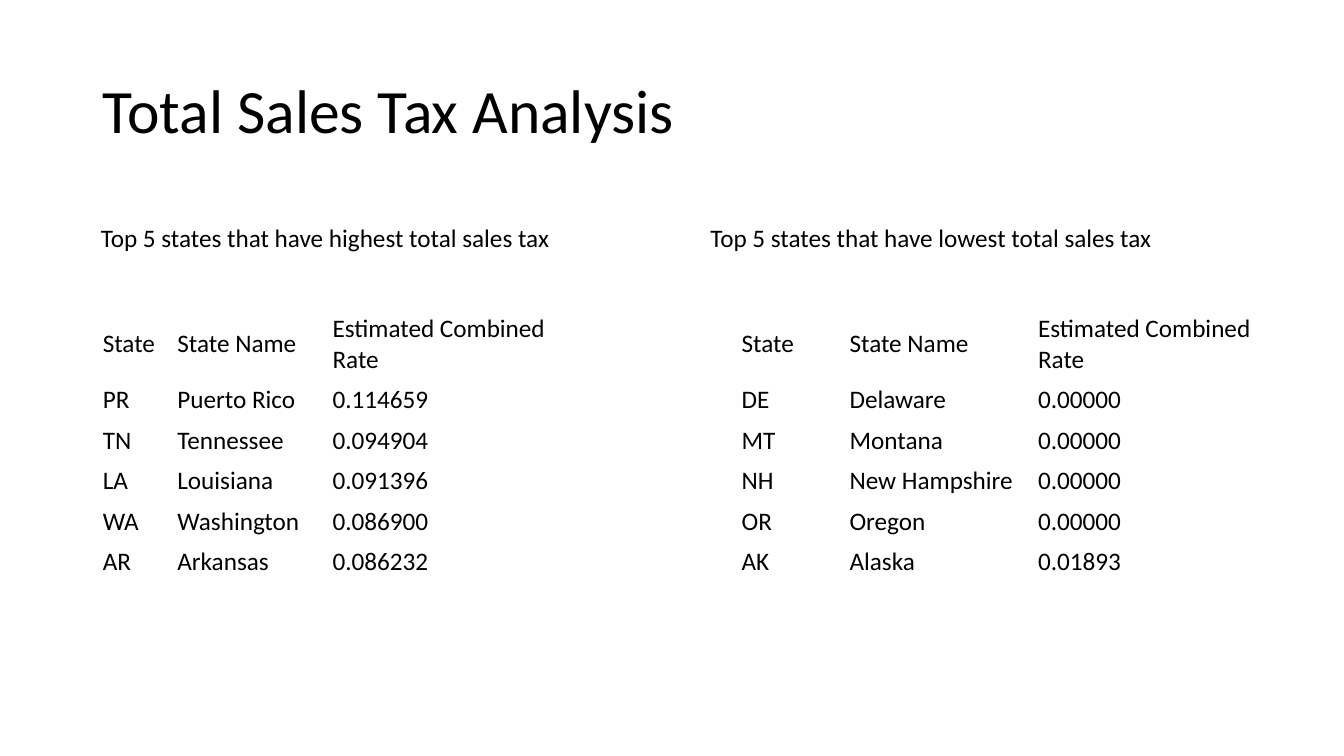
from pptx import Presentation
from pptx.dml.color import RGBColor
from pptx.enum.text import MSO_ANCHOR, PP_ALIGN
from pptx.util import Cm, Pt

MIDDLE = MSO_ANCHOR.MIDDLE
LEFT = PP_ALIGN.LEFT
TITLE_ONLY = 5
FONT = "Calibri"
COLORS = {"text": "000000"}
HEADER = ("State", "State Name", "Estimated Combined Rate")
SPACER = ("", "", "")
ROW_H, HEADER_H = 1.02, 1.79

HIGHEST = [
    ("PR", "Puerto Rico", "0.114659"),
    ("TN", "Tennessee", "0.094904"),
    ("LA", "Louisiana", "0.091396"),
    ("WA", "Washington", "0.086900"),
    ("AR", "Arkansas", "0.086232"),
]
LOWEST = [
    ("DE", "Delaware", "0.00000"),
    ("MT", "Montana", "0.00000"),
    ("NH", "New Hampshire", "0.00000"),
    ("OR", "Oregon", "0.00000"),
    ("AK", "Alaska", "0.01893"),
]


def write(tf, text, size=18, color="text", spacing=1.0):
    p = tf.paragraphs[0]
    p.alignment = LEFT
    p.line_spacing = spacing
    p.font.size = Pt(size)
    r = p.add_run()
    r.text = text
    r.font.name = FONT
    r.font.size = Pt(size)
    r.font.color.rgb = RGBColor.from_string(COLORS[color])


def add_title(s, box, text):
    sp = s.shapes.title
    sp.left, sp.top, sp.width, sp.height = map(Cm, box)
    sp.text_frame.vertical_anchor = MIDDLE
    write(sp.text_frame, text, size=44, spacing=0.9)


def add_caption(s, box, text):
    tf = s.shapes.add_textbox(*map(Cm, box)).text_frame
    tf.word_wrap = True
    write(tf, text)


def add_rates(s, left, top, widths, states):
    rows = [SPACER, HEADER, *states]
    heights = [HEADER_H if row is HEADER else ROW_H for row in rows]
    frame = s.shapes.add_table(len(rows), len(widths), Cm(left), Cm(top),
                               Cm(sum(widths)), Cm(sum(heights)))
    table = frame.table
    table.first_row = table.horz_banding = False
    for column, width in zip(table.columns, widths):
        column.width = Cm(width)
    for row, height, values in zip(table.rows, heights, rows):
        row.height = Cm(height)
        for cell, value in zip(row.cells, values):
            cell.fill.background()
            cell.vertical_anchor = MIDDLE
            cell.margin_left = cell.margin_right = Cm(0.25)
            cell.margin_top = cell.margin_bottom = Cm(0.12)
            write(cell.text_frame, value)


prs = Presentation()
prs.slide_width, prs.slide_height = Cm(33.87), Cm(19.05)
s = prs.slides.add_slide(prs.slide_layouts[TITLE_ONLY])

add_title(s, (2.34, 1.02, 29.21, 3.68), "Total Sales Tax Analysis")
add_caption(s, (2.29, 5.47, 14, 1.02), "Top 5 states that have highest total sales tax")
add_caption(s, (17.65, 5.47, 14, 1.02), "Top 5 states that have lowest total sales tax")
add_rates(s, 2.34, 6.76, (1.88, 3.91, 7.04), HIGHEST)
add_rates(s, 18.44, 6.76, (2.72, 4.75, 6.96), LOWEST)

prs.save("out.pptx")
